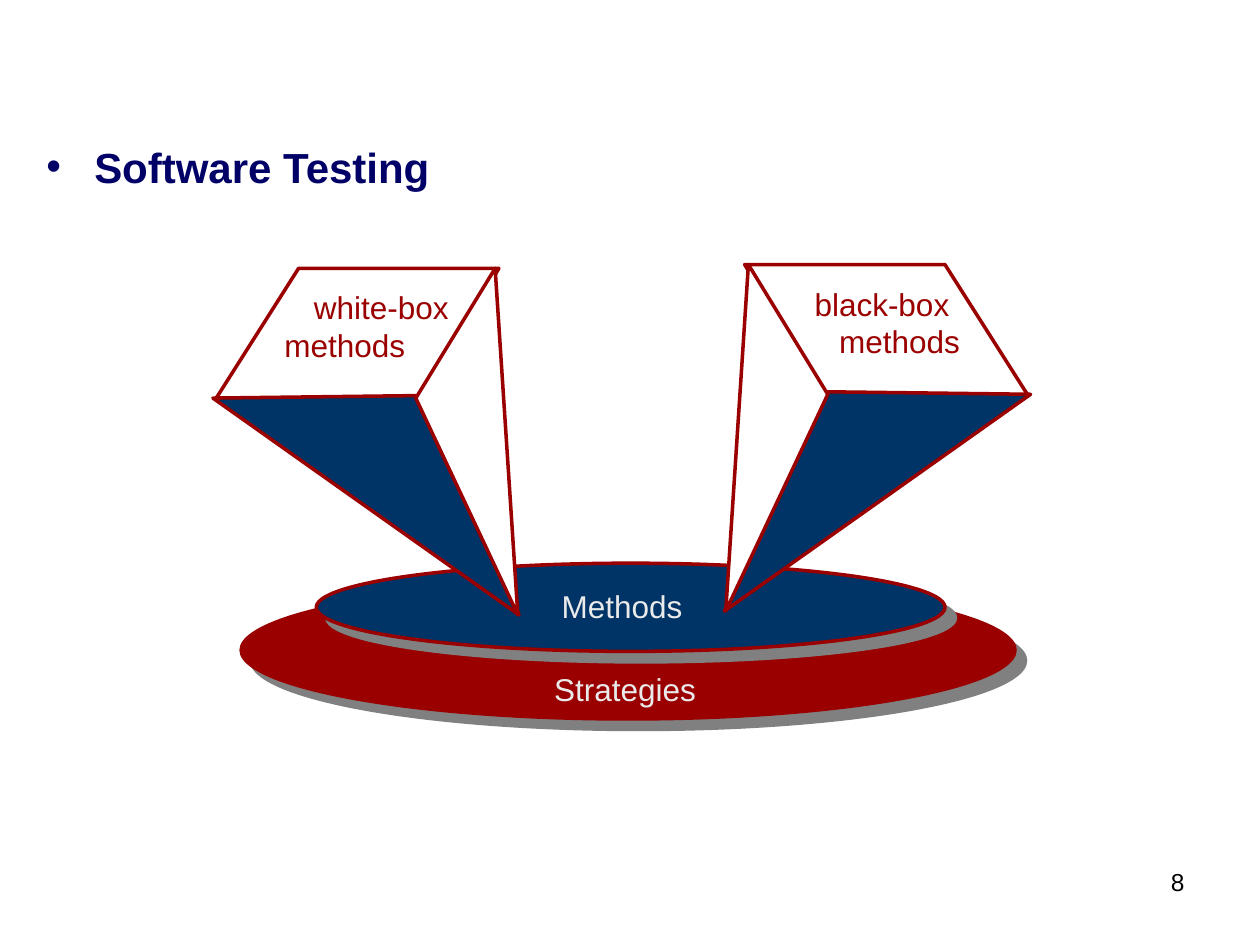
from lxml import etree
from pptx import Presentation
from pptx.dml.color import RGBColor
from pptx.enum import shapes, text
from pptx.oxml import ns
from pptx.util import Inches, Pt

THEME = {
    "font": "Arial",
    "navy": "000066", "blue": "003366", "red": "9A0000", "white": "FFFFFF",
    "pale": "EAEAEA", "black": "000000", "shadow": "808080",
    "heading": 24, "label": 18, "number": 14, "outline": 2,
}
LEFT, CENTER, RIGHT = text.PP_ALIGN.LEFT, text.PP_ALIGN.CENTER, text.PP_ALIGN.RIGHT

DISCS = [
    ((1.9, 4.6, 6.17, 1.12), "red", None),
    ((2.51, 4.47, 4.99, 0.7), "blue", "red"),
]
WHITE_BOX_FACES = [
    ("white", [(3.96, 2.13), (2.37, 2.13), (1.71, 3.17), (3.33, 3.17)]),
    ("blue", [(1.69, 3.16), (4.12, 4.88), (3.3, 3.14)]),
    ("white", [(4.11, 4.88), (3.3, 3.16), (3.93, 2.13)]),
]
MIRROR_SUM, BLACK_BOX_RISE = 9.87, 0.03
BLACK_BOX_FACES = [
    (fill, [(MIRROR_SUM - x, y - BLACK_BOX_RISE) for x, y in points])
    for fill, points in WHITE_BOX_FACES
]
LABELS = [
    ((7.44, 6.83, 2.06, 0.52), [("8", RIGHT)], "number", "black", True),
    ((4.36, 4.61, 1.16, 0.4), [("Methods", LEFT)], "label", "pale", False),
    ((4.3, 5.27, 1.34, 0.4), [("Strategies", LEFT)], "label", "pale", False),
    ((2.16, 2.24, 1.5, 1), [("white-box", RIGHT), ("methods", LEFT)], "label", "red", True),
    ((6.25, 2.21, 1.5, 0.7), [("black-box", CENTER), ("methods", CENTER)], "label", "red", True),
]
HEADING = ((0.27, 1.07, 9, 0.95), [("Software Testing", LEFT)], "heading", "navy", True)
HEADING_INDENT = 0.38
BLACK_BOX_INDENT = 0.28


def color(name):
    return RGBColor.from_string(THEME[name])


def paint(shape, fill, outline):
    shape.shadow.inherit = False
    shape.fill.solid()
    shape.fill.fore_color.rgb = color(fill)
    if outline is None:
        shape.line.fill.background()
        return
    shape.line.color.rgb = color(outline)
    shape.line.width = Pt(THEME["outline"])
    etree.SubElement(shape.line._get_or_add_ln(), ns.qn("a:round"))


def add_disc(slide, box, fill, outline):
    disc = slide.shapes.add_shape(shapes.MSO_SHAPE.OVAL, *map(Inches, box))
    paint(disc, fill, outline)
    effects = disc._element.spPr.find(ns.qn("a:effectLst"))
    shadow = etree.SubElement(effects, ns.qn("a:outerShdw"), dist=str(Pt(8.5)),
                              dir="2700000", algn="ctr", rotWithShape="0")
    etree.SubElement(shadow, ns.qn("a:srgbClr"), val=THEME["shadow"])


def add_pyramid(slide, faces):
    pyramid = slide.shapes.add_group_shape()
    for fill, points in faces:
        start, *rest = [(Inches(x), Inches(y)) for x, y in points]
        builder = pyramid.shapes.build_freeform(*start)
        builder.add_line_segments(rest, close=True)
        paint(builder.convert_to_shape(), fill, "red")


def add_label(slide, box, lines, size, ink, wrap):
    frame = slide.shapes.add_textbox(*map(Inches, box)).text_frame
    frame.word_wrap = wrap
    if not wrap:
        frame.auto_size = text.MSO_AUTO_SIZE.SHAPE_TO_FIT_TEXT
    frame.text = "\n".join(line for line, _ in lines)
    for paragraph, (_, align) in zip(frame.paragraphs, lines):
        paragraph.alignment = align
        font = paragraph.runs[0].font
        font.name, font.size = THEME["font"], Pt(THEME[size])
        font.color.rgb = color(ink)
    return frame.paragraphs


def add_heading(slide):
    heading = add_label(slide, *HEADING)[0]
    heading.space_before = Pt(6)
    heading.runs[0].font.bold = True
    properties = heading._p.get_or_add_pPr()
    properties.set("marL", str(Inches(HEADING_INDENT)))
    properties.set("indent", str(-Inches(HEADING_INDENT)))
    bullet_color = etree.SubElement(properties, ns.qn("a:buClr"))
    etree.SubElement(bullet_color, ns.qn("a:srgbClr"), val=THEME["navy"])
    etree.SubElement(properties, ns.qn("a:buFont"), typeface=THEME["font"])
    etree.SubElement(properties, ns.qn("a:buChar"), char="•")


def main():
    deck = Presentation()
    deck.slide_width, deck.slide_height = Inches(10), Inches(7.5)
    slide = deck.slides.add_slide(deck.slide_layouts[6])
    add_heading(slide)
    for disc in DISCS:
        add_disc(slide, *disc)
    for faces in (WHITE_BOX_FACES, BLACK_BOX_FACES):
        add_pyramid(slide, faces)
    labels = [add_label(slide, *label) for label in LABELS]
    black_box_methods = labels[-1][1]
    black_box_methods._p.get_or_add_pPr().set("marL", str(Inches(BLACK_BOX_INDENT)))
    deck.save("out.pptx")


if __name__ == "__main__":
    main()
